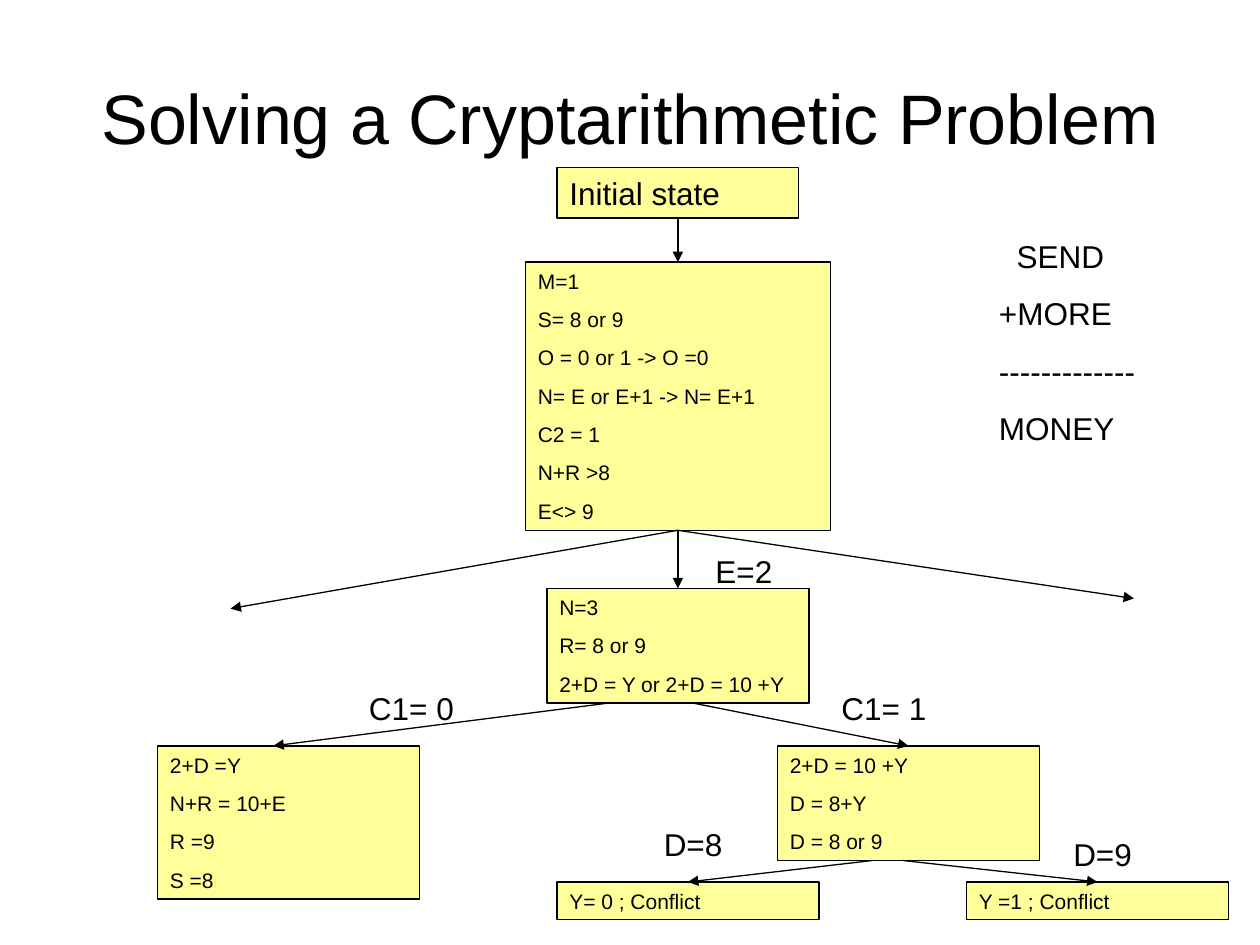
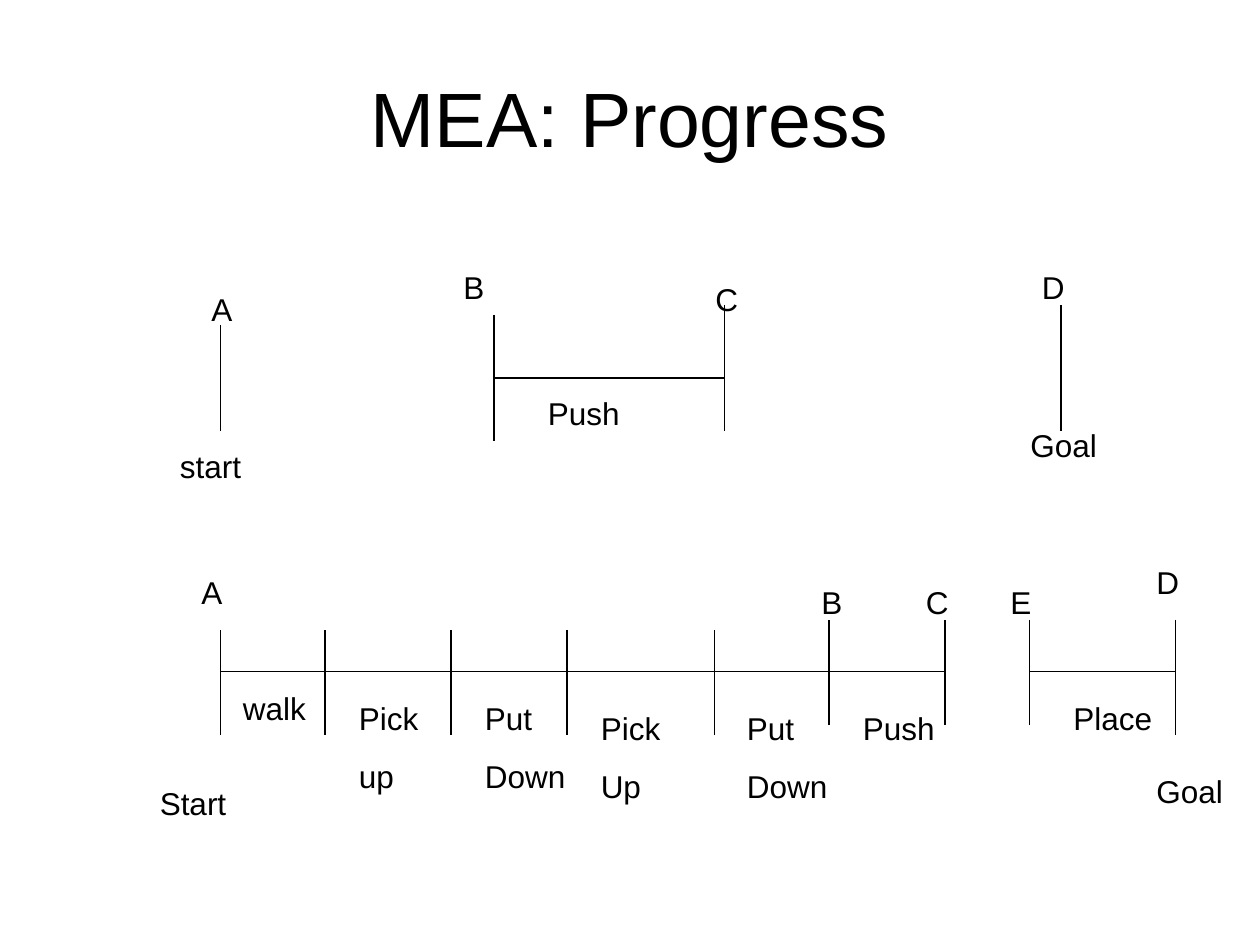
from pptx import Presentation
from pptx.dml.color import RGBColor
from pptx.enum.shapes import MSO_CONNECTOR as Connector, MSO_SHAPE as Shape
from pptx.enum.text import MSO_ANCHOR as Anchor, MSO_AUTO_SIZE as AutoSize, PP_ALIGN as Align
from pptx.oxml.ns import qn
from pptx.util import Inches, Pt
from lxml.etree import SubElement

BLACK = RGBColor(0, 0, 0)
YELLOW = RGBColor(0xFF, 0xFF, 0x99)
FONT = "Arial"
LABEL_SIZE = 18
NOTE_SIZE = 12
TOP, BOTTOM = 0, 2


def apply_format(target, values):
    for name, value in values.items():
        setattr(target, name, value)


def text_height(lines, size):
    return 0.1 + size / 60 + (len(lines) - 1) * size * 0.0254


def write_lines(shape, lines, size, align=Align.LEFT, anchor=Anchor.TOP, fit=AutoSize.SHAPE_TO_FIT_TEXT):
    frame = shape.text_frame
    apply_format(frame, {"word_wrap": True, "auto_size": fit, "vertical_anchor": anchor})
    for number, line in enumerate(lines):
        para = frame.add_paragraph() if number else frame.paragraphs[0]
        para.alignment = align
        if number:
            para.space_before = Pt(size * 0.625)
        span = para.add_run()
        span.text = line
        apply_format(span.font, {"name": FONT, "size": Pt(size)})
        span.font.color.rgb = BLACK


def add_title(page, text, size):
    box = page.shapes.add_textbox(Inches(0.5), Inches(0.3), Inches(9), Inches(1.25))
    write_lines(box, [text], size, Align.CENTER, Anchor.MIDDLE, AutoSize.NONE)


def add_label(page, left, top, width, *lines):
    box = page.shapes.add_textbox(
        Inches(left), Inches(top), Inches(width), Inches(text_height(lines, LABEL_SIZE)))
    write_lines(box, lines, LABEL_SIZE)
    return box


def add_state(page, left, top, width, lines, size=NOTE_SIZE):
    box = page.shapes.add_shape(
        Shape.RECTANGLE, Inches(left), Inches(top), Inches(width), Inches(text_height(lines, size)))
    box.shadow.inherit = False
    box.fill.solid()
    box.fill.fore_color.rgb = YELLOW
    box.line.color.rgb = BLACK
    box.line.width = Pt(0.75)
    write_lines(box, lines, size)
    return box


def add_line(page, start, end):
    line = page.shapes.add_connector(Connector.STRAIGHT, *(Inches(value) for value in (*start, *end)))
    line.line.color.rgb = BLACK
    line.line.width = Pt(0.75)
    SubElement(line._element.spPr, qn("a:effectLst"))
    return line


def add_arrow(page, start, end, parent=None, child=None):
    arrow = add_line(page, start, end)
    SubElement(arrow.line._get_or_add_ln(), qn("a:tailEnd"), type="triangle")
    if parent is not None:
        arrow.begin_connect(parent, BOTTOM)
    if child is not None:
        arrow.end_connect(child, TOP)


def add_ticks(page, positions, top, bottom):
    for left in positions:
        add_line(page, (left, top), (left, bottom))


def build_search_tree(page):
    add_title(page, "Solving a Cryptarithmetic Problem", 40)
    initial = add_state(page, 4.42, 1.33, 1.92, ["Initial state"], LABEL_SIZE)
    facts = add_state(page, 4.17, 2.08, 2.42, [
        "M=1", "S= 8 or 9", "O = 0 or 1 -> O =0", "N= E or E+1 -> N= E+1",
        "C2 = 1", "N+R >8", "E<> 9"])
    guess = add_state(page, 4.34, 4.67, 2.08, ["N=3", "R= 8 or 9", "2+D = Y or 2+D = 10 +Y"])
    add_state(page, 1.25, 5.92, 2.08, ["2+D =Y", "N+R = 10+E", "R =9", "S =8"])
    carry = add_state(page, 6.17, 5.92, 2.08, ["2+D = 10 +Y", "D = 8+Y", "D = 8 or 9"])
    zero = add_state(page, 4.42, 7, 2.08, ["Y= 0 ; Conflict"])
    one = add_state(page, 7.67, 7, 2.08, ["Y =1 ; Conflict"])

    for start, end, parent, child in [
        ((5.38, 1.73), (5.38, 2.08), initial, facts),
        ((5.38, 4.21), (5.38, 4.67), facts, guess),
        ((5.38, 4.21), (1.83, 4.83), facts, None),
        ((5.38, 4.21), (9, 4.75), facts, None),
        ((4.83, 5.58), (2.17, 5.92), None, None),
        ((5.5, 5.58), (7.21, 5.92), None, carry),
        ((6.92, 6.83), (5.46, 7), None, zero),
        ((7.17, 6.83), (8.71, 7), None, one),
    ]:
        add_arrow(page, start, end, parent, child)

    for left, top, width, text in [
        (5.58, 4.33, 0.92, "E=2"),
        (2.83, 5.42, 0.92, "C1= 0"),
        (6.58, 5.42, 0.92, "C1= 1"),
        (5.17, 6.5, 0.83, "D=8"),
        (8.42, 6.58, 0.83, "D=9"),
    ]:
        add_label(page, left, top, width, text)
    puzzle = add_label(page, 7.83, 1.83, 1.42, "SEND", "+MORE", "-------------", "MONEY")
    first = puzzle.text_frame.paragraphs[0]
    first._p.get_or_add_pPr().set("marL", str(Inches(0.14)))


def build_progress(page):
    add_title(page, "MEA: Progress", 44)

    add_ticks(page, [1.75], 2.58, 3.42)
    add_ticks(page, [3.92], 2.5, 3.5)
    add_ticks(page, [5.75, 8.42], 2.42, 3.42)
    add_ticks(page, [1.75, 2.58, 3.58, 4.5, 5.67], 5, 5.83)
    add_ticks(page, [6.58, 7.5, 8.17], 4.92, 5.75)
    add_ticks(page, [9.33], 4.92, 5.83)
    for left, right, height in [(3.92, 5.75, 3), (1.75, 7.5, 5.33), (8.17, 9.33, 5.33)]:
        add_line(page, (left, height), (right, height))

    for left, top, letter in [
        (1.58, 2.25, "A"), (3.58, 2.08, "B"), (5.58, 2.17, "C"), (8.17, 2.08, "D"),
        (1.5, 4.5, "A"), (6.42, 4.58, "B"), (7.25, 4.58, "C"), (7.92, 4.58, "E"),
        (9.08, 4.42, "D"),
    ]:
        add_label(page, left, top, 0.5, letter)

    for left, top, width, *words in [
        (1.33, 3.5, 1.08, "start"),
        (4.25, 3.08, 1.25, "Push"),
        (8.08, 3.33, 0.92, "Goal"),
        (1.17, 6.17, 1.5, "Start"),
        (1.83, 5.42, 0.83, "walk"),
        (2.75, 5.5, 0.83, "Pick", "up"),
        (3.75, 5.5, 0.92, "Put", "Down"),
        (4.67, 5.58, 1, "Pick", "Up"),
        (5.83, 5.58, 0.92, "Put", "Down"),
        (6.75, 5.58, 0.92, "Push"),
        (8.42, 5.5, 0.83, "Place"),
        (9.08, 6.08, 0.92, "Goal"),
    ]:
        add_label(page, left, top, width, *words)


def main():
    deck = Presentation()
    deck.slide_width, deck.slide_height = Inches(10), Inches(7.5)
    blank = deck.slide_layouts[6]
    for build in (build_search_tree, build_progress):
        build(deck.slides.add_slide(blank))
    deck.save("out.pptx")


if __name__ == "__main__":
    main()
